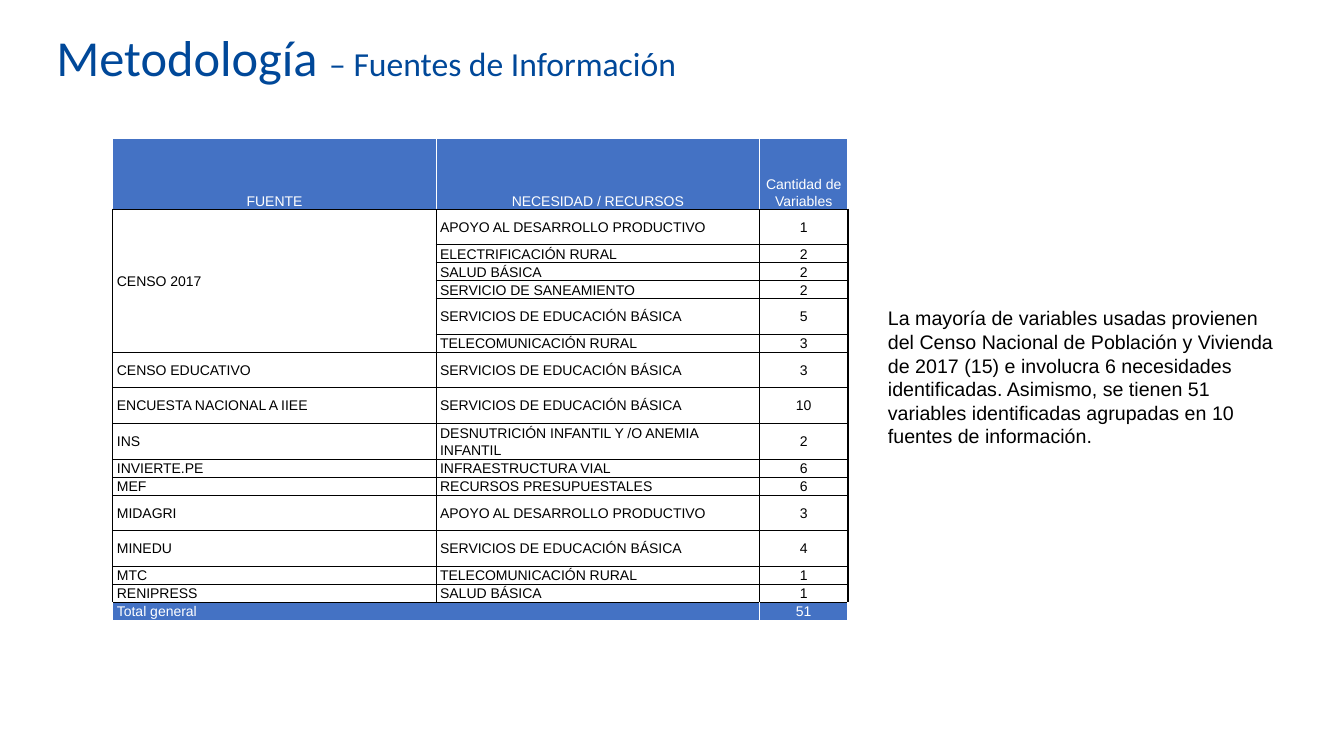
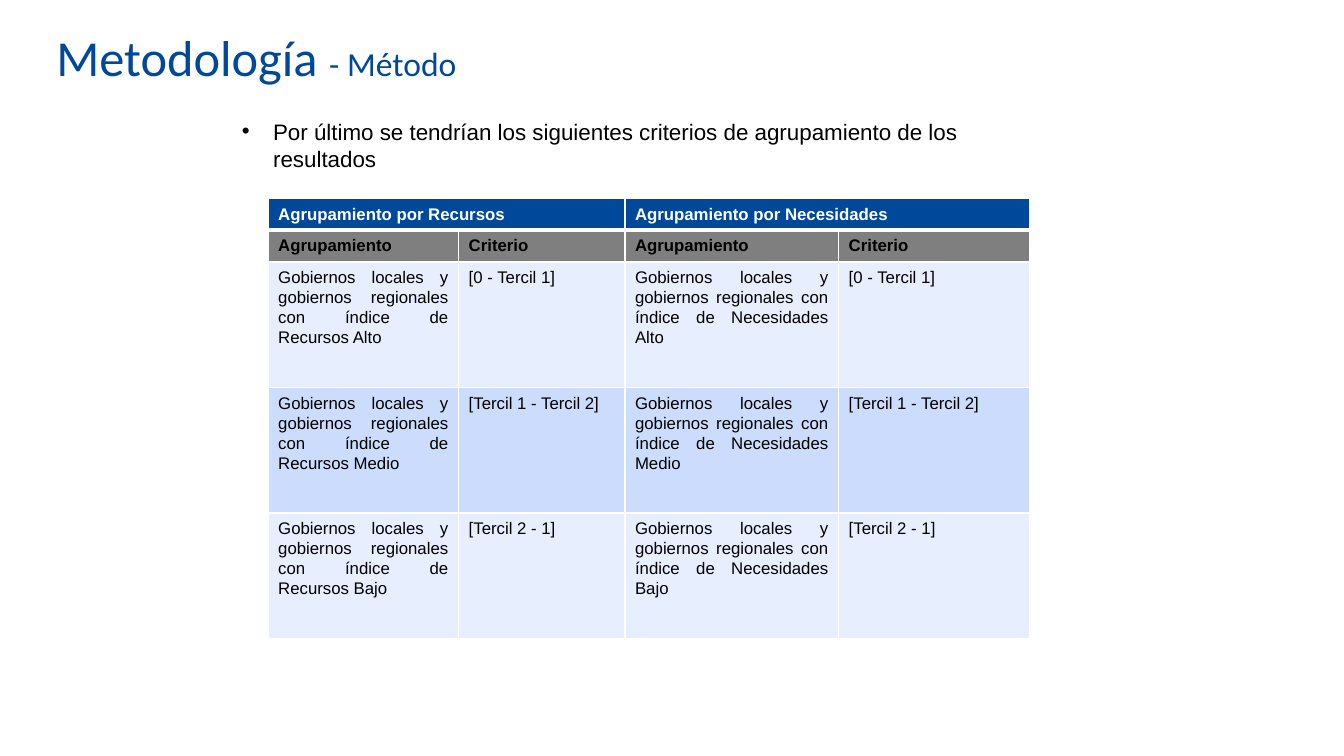
from lxml import etree
from pptx import Presentation
from pptx.dml.color import RGBColor
from pptx.enum.text import MSO_ANCHOR, MSO_AUTO_SIZE, PP_ALIGN
from pptx.oxml.ns import qn
from pptx.util import Inches, Pt

LEFT, CENTER, JUSTIFY = PP_ALIGN.LEFT, PP_ALIGN.CENTER, PP_ALIGN.JUSTIFY
TOP, MIDDLE, BOTTOM = MSO_ANCHOR.TOP, MSO_ANCHOR.MIDDLE, MSO_ANCHOR.BOTTOM
GROW = MSO_AUTO_SIZE.SHAPE_TO_FIT_TEXT

WHITE = RGBColor(0xFF, 0xFF, 0xFF)
BLACK = RGBColor(0x00, 0x00, 0x00)
NAVY = RGBColor(0x00, 0x48, 0x99)
BLUE = RGBColor(0x44, 0x72, 0xC4)
GRAY = RGBColor(0x7F, 0x7F, 0x7F)
PALE = RGBColor(0xE7, 0xEE, 0xFE)
SKY = RGBColor(0xCB, 0xDC, 0xFC)

W, H = Inches(13.33), Inches(7.5)
COL, ROW = W / 100, H / 100
TITLE_BOX = (3.45, 2.13, 89.7, 10.53)
SOURCES_BOX = (8.4, 18.27, 54.7, 63.47)
NOTE_BOX = (65.33, 39.87, 30.9, 20.13)
BULLET_BOX = (18, 15.6, 56.63, 7.2)
CRITERIA_BOX = (19.95, 26.27, 56.63, 58.13)

SOURCES = [
    ("CENSO 2017", [("APOYO AL DESARROLLO PRODUCTIVO", 1, 2),
                    ("ELECTRIFICACIÓN RURAL", 2, 1),
                    ("SALUD BÁSICA", 2, 1),
                    ("SERVICIO DE SANEAMIENTO", 2, 1),
                    ("SERVICIOS DE EDUCACIÓN BÁSICA", 5, 2),
                    ("TELECOMUNICACIÓN RURAL", 3, 1)]),
    ("CENSO EDUCATIVO", [("SERVICIOS DE EDUCACIÓN BÁSICA", 3, 2)]),
    ("ENCUESTA NACIONAL A IIEE", [("SERVICIOS DE EDUCACIÓN BÁSICA", 10, 2)]),
    ("INS", [("DESNUTRICIÓN INFANTIL Y /O ANEMIA INFANTIL", 2, 2)]),
    ("INVIERTE.PE", [("INFRAESTRUCTURA VIAL", 6, 1)]),
    ("MEF", [("RECURSOS PRESUPUESTALES", 6, 1)]),
    ("MIDAGRI", [("APOYO AL DESARROLLO PRODUCTIVO", 3, 2)]),
    ("MINEDU", [("SERVICIOS DE EDUCACIÓN BÁSICA", 4, 2)]),
    ("MTC", [("TELECOMUNICACIÓN RURAL", 1, 1)]),
    ("RENIPRESS", [("SALUD BÁSICA", 1, 1)]),
]
LEVELS = [("Alto", "[0 - Tercil 1]", PALE),
          ("Medio", "[Tercil 1 - Tercil 2]", SKY),
          ("Bajo", "[Tercil 2 - 1]", PALE)]


def place(box):
    x, y, w, h = box
    return int(x * COL), int(y * ROW), int(w * COL), int(h * ROW)


def add_run(p, text, size, color, font="Arial", bold=False):
    r = p.add_run()
    r.text = text
    r.font.size = Pt(size)
    r.font.name = font
    r.font.bold = bold
    r.font.color.rgb = color


def add_text(slide, box, runs, anchor=TOP, font="Arial"):
    sp = slide.shapes.add_textbox(*place(box))
    tf = sp.text_frame
    tf.word_wrap = True
    tf.vertical_anchor = anchor
    p = tf.paragraphs[0]
    for text, size, color in runs:
        add_run(p, text, size, color, font)
    return tf


def add_title(slide, subtitle):
    add_text(slide, TITLE_BOX,
             [("Metodología ", 36, NAVY), (subtitle, 24, NAVY)], MIDDLE, "Calibri")


def add_bullet(slide, box, text):
    tf = add_text(slide, box, [(text, 16, BLACK)])
    tf.auto_size = GROW
    tf.margin_left = tf.margin_right = tf.margin_top = tf.margin_bottom = 0
    pPr = tf.paragraphs[0]._p.get_or_add_pPr()
    indent = Inches(0.31)
    pPr.set("marL", str(indent))
    pPr.set("indent", str(-indent))
    etree.SubElement(pPr, qn("a:buFont"), typeface="Arial")
    etree.SubElement(pPr, qn("a:buChar"), char="•")


def set_borders(cell, **sides):
    tcPr = cell._tc.get_or_add_tcPr()
    for i, side in enumerate("LRTB"):
        color, width = sides[side]
        ln = etree.Element(qn(f"a:ln{side}"), w=str(Pt(width)))
        fill = etree.SubElement(ln, qn("a:solidFill"))
        etree.SubElement(fill, qn("a:srgbClr"), val=str(color))
        tcPr.insert(i, ln)


def add_grid(slide, box, col_shares, row_shares):
    x, y, w, h = place(box)
    table = slide.shapes.add_table(len(row_shares), len(col_shares), x, y, w, h).table
    table.horz_banding = False
    for column, share in zip(table.columns, col_shares):
        column.width = int(w * share / sum(col_shares))
    for row, share in zip(table.rows, row_shares):
        row.height = int(h * share / sum(row_shares))
    return table


def fill_cell(cell, text, fill, color, size, align, bold=False):
    cell.fill.solid()
    cell.fill.fore_color.rgb = fill
    p = cell.text_frame.paragraphs[0]
    p.alignment = align
    p.line_spacing = 1.07
    p.space_after = Pt(8)
    if text:
        add_run(p, text, size, color, bold=bold)


def add_sources_table(slide, box):
    rows = [("FUENTE", "NECESIDAD / RECURSOS", "Cantidad de Variables")]
    heights, spans = [4], []
    for source, needs in SOURCES:
        spans.append((len(rows), len(needs)))
        for i, (need, count, height) in enumerate(needs):
            rows.append(("" if i else source, need, str(count)))
            heights.append(height)
    total = sum(count for _, needs in SOURCES for _, count, _ in needs)
    rows.append(("Total general", "", str(total)))
    heights.append(1)
    last = len(rows) - 1
    table = add_grid(slide, box, (3.21, 3.21, 0.88), heights)
    for i, texts in enumerate(rows):
        band = i in (0, last)
        fill, color = (BLUE, WHITE) if band else (WHITE, BLACK)
        side = (WHITE if band else BLACK, 1)
        for j, text in enumerate(texts):
            cell = table.cell(i, j)
            cell.margin_left = cell.margin_right = Inches(0.04)
            cell.margin_top = cell.margin_bottom = 0
            cell.vertical_anchor = MIDDLE if i else BOTTOM
            fill_cell(cell, text, fill, color, 10, CENTER if i == 0 or j == 2 else LEFT)
            set_borders(cell, L=side, R=side,
                        T=(BLACK if i else WHITE, 1),
                        B=(WHITE if i == last else BLACK, 1))
    for start, length in spans:
        if length > 1:
            table.cell(start, 0).merge(table.cell(start + length - 1, 0))
    table.cell(last, 0).merge(table.cell(last, 1))


def add_criteria_table(slide, box):
    groups = ("Recursos", "Necesidades")
    rows = [([t for g in groups for t in (f"Agrupamiento por {g}", "")], NAVY, WHITE),
            (["Agrupamiento", "Criterio"] * 2, GRAY, BLACK)]
    for level, criterion, fill in LEVELS:
        texts = [t for g in groups for t in (
            f"Gobiernos locales y gobiernos regionales con índice de {g} {level}",
            criterion)]
        rows.append((texts, fill, BLACK))
    table = add_grid(slide, box, (1.89, 1.65, 2.12, 1.89), (1, 1, 4, 4, 4))
    thin, thick = (WHITE, 1), (WHITE, 3)
    for i, (texts, fill, color) in enumerate(rows):
        for j, text in enumerate(texts):
            cell = table.cell(i, j)
            fill_cell(cell, text, fill, color, 12, JUSTIFY, bold=i < 2)
            set_borders(cell, L=thin, R=thin,
                        T=thick if i == 1 else thin, B=thick if i == 0 else thin)
    for j in (0, 2):
        table.cell(0, j).merge(table.cell(0, j + 1))


def build_sources(slide):
    add_title(slide, "– Fuentes de Información")
    add_sources_table(slide, SOURCES_BOX)
    note = add_text(slide, NOTE_BOX, [(
        "La mayoría de variables usadas provienen del Censo Nacional de Población "
        "y Vivienda de 2017 (15) e involucra 6 necesidades identificadas. Asimismo, "
        "se tienen 51 variables identificadas agrupadas en 10 fuentes de información.",
        14, BLACK)])
    note.auto_size = GROW


def build_method(slide):
    add_title(slide, "- Método")
    add_criteria_table(slide, CRITERIA_BOX)
    add_bullet(slide, BULLET_BOX, "Por último se tendrían los siguientes criterios "
               "de agrupamiento de los resultados")


def main():
    prs = Presentation()
    prs.slide_width, prs.slide_height = W, H
    for build in (build_sources, build_method):
        build(prs.slides.add_slide(prs.slide_layouts[6]))
    prs.save("out.pptx")


if __name__ == "__main__":
    main()
